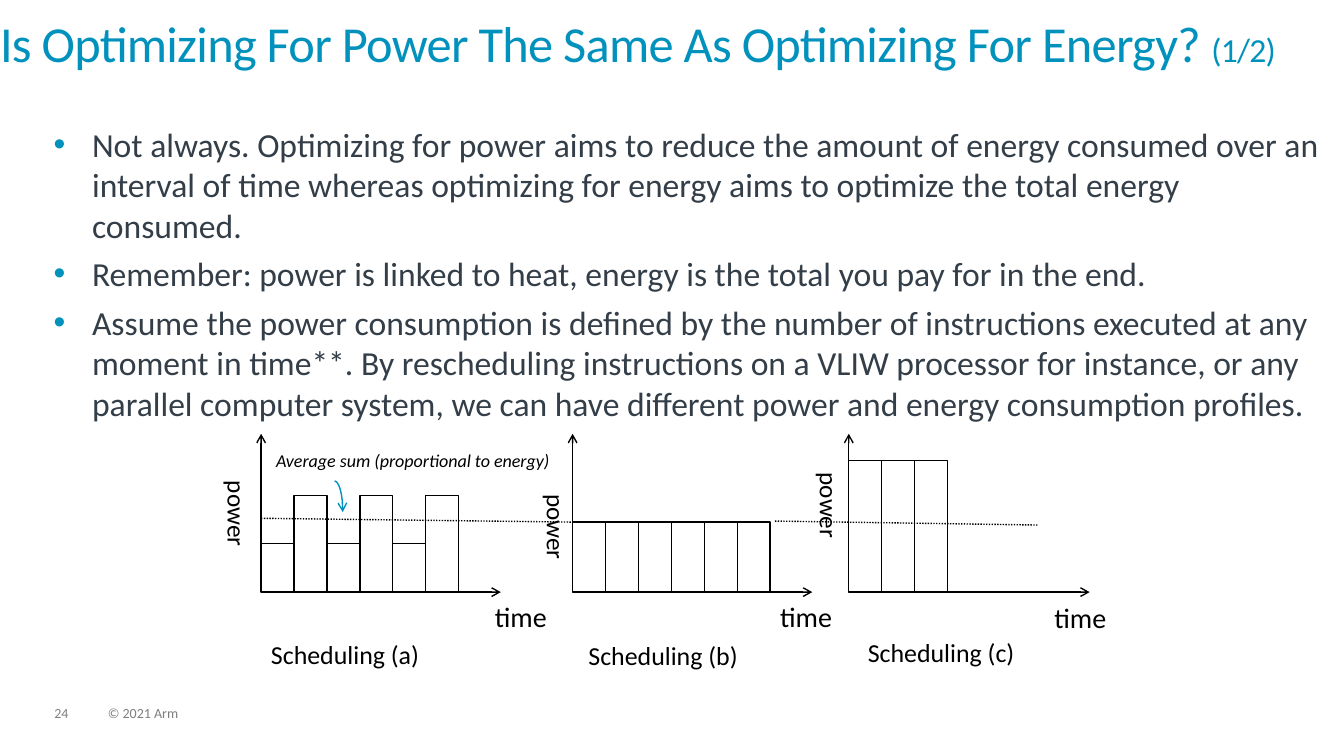
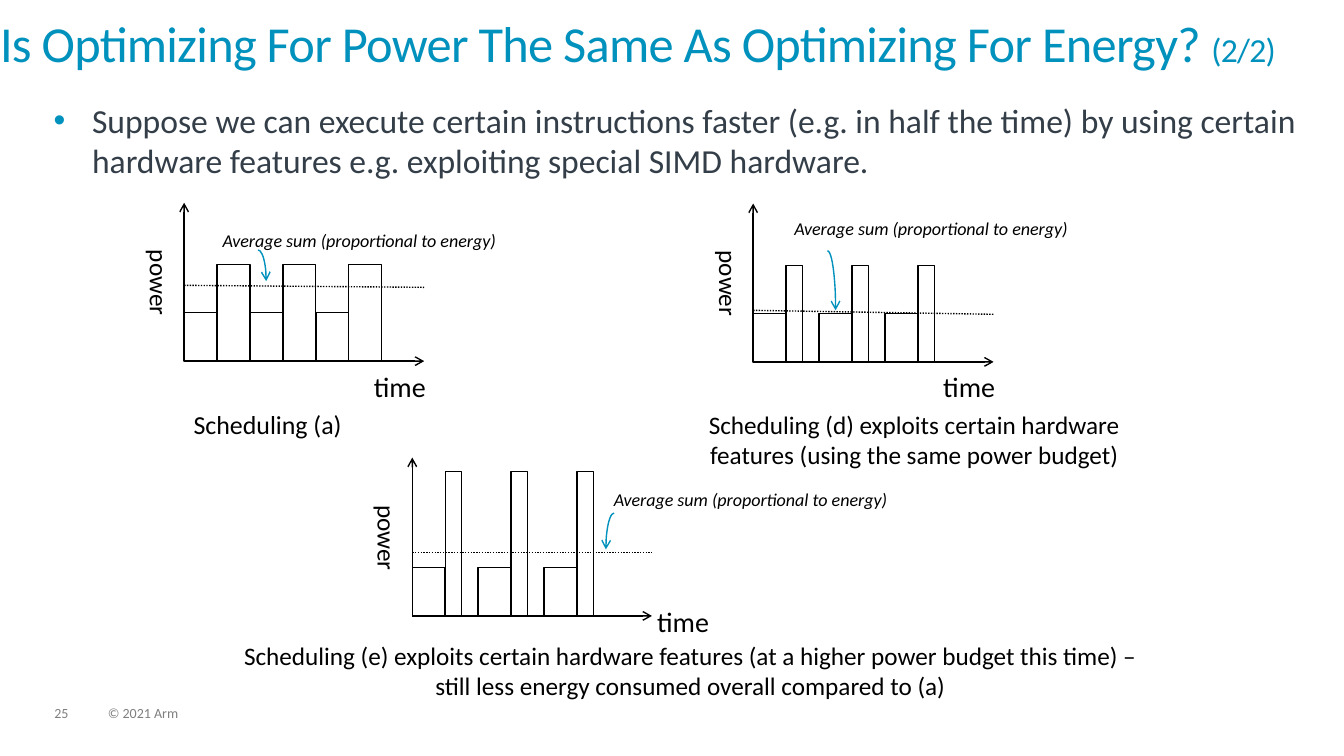
from lxml.etree import SubElement
from pptx import Presentation
from pptx.dml.color import RGBColor
from pptx.enum.dml import MSO_LINE
from pptx.enum.shapes import MSO_CONNECTOR, MSO_SHAPE
from pptx.enum.text import MSO_ANCHOR, MSO_AUTO_SIZE, PP_ALIGN
from pptx.oxml.ns import qn
from pptx.util import Cm, Pt

# Shared style
BLUE = RGBColor(0x00, 0x91, 0xBD)
SLATE = RGBColor(0x33, 0x3E, 0x48)
GRAY = RGBColor(0x7F, 0x7F, 0x7F)
BLACK = RGBColor(0, 0, 0)
WHITE = RGBColor(0xFF, 0xFF, 0xFF)
FRAME = {"margin_left": 0, "margin_top": 0, "margin_right": 0, "margin_bottom": 0,
         "word_wrap": True, "auto_size": MSO_AUTO_SIZE.NONE,
         "vertical_anchor": MSO_ANCHOR.TOP}
TITLE = "Is Optimizing For Power The Same As Optimizing For Energy? "
AVERAGE = "Average sum (proportional to energy)"
FIRST_NUMBER = 24

# Bars are (width in steps, height in cm); each bar starts one step after the last
STEP = 0.83
LOW, HIGH = 1.22, 2.43
AXIS_HEIGHT = 3.99
ALTERNATING = [(1, LOW), (1, HIGH)] * 3
FASTER = [(1, LOW), (0.5, HIGH)] * 3
FASTER_HIGHER = [(1, LOW), (0.5, 3.64)] * 3

# Positions are in cm; a caption is (text, left, top, width, size, alignment)
slides = [
    {"page": "(1/2)", "body_top": 3.12,
     "points": [
         "Not always. Optimizing for power aims to reduce the amount of energy consumed "
         "over an interval of time whereas optimizing for energy aims to optimize the "
         "total energy consumed.",
         "Remember: power is linked to heat, energy is the total you pay for in the end.",
         "Assume the power consumption is defined by the number of instructions executed "
         "at any moment in time**. By rescheduling instructions on a VLIW processor for "
         "instance, or any parallel computer system, we can have different power and "
         "energy consumption profiles."],
     "schedules": [
         {"origin": (6.58, 14.92), "bars": ALTERNATING, "end": 12.62,
          "average": (6.58, 13.06, 14.73, 13.16),
          "power": (5.54, 12.12), "time": (12.47, 15.11),
          "caption": ("Scheduling (a)", 6.83, 16.1, 3.9, 18.5, PP_ALIGN.LEFT),
          "note": (6.96, 11.33), "pointer": (8.23, 12.12, 1.57)},
         {"origin": (14.43, 14.92), "bars": [(1, 1.77)] * 6, "end": 20.47,
          "power": (13.59, 12.45), "time": (19.66, 15.11),
          "caption": ("Scheduling (b)", 14.83, 16.13, 3.9, 18.5, PP_ALIGN.LEFT)},
         {"origin": (21.39, 14.92), "bars": [(1, 3.31)] * 3, "end": 27.46,
          "average": (19.53, 13.13, 26.14, 13.23),
          "power": (20.47, 11.91), "time": (26.57, 15.14),
          "caption": ("Scheduling (c)", 21.87, 16.05, 3.9, 18.5, PP_ALIGN.LEFT)},
     ]},
    {"page": "(2/2)", "body_top": 2.51,
     "points": [
         "Suppose we can execute certain instructions faster (e.g. in half the time) by "
         "using certain hardware features e.g. exploiting special SIMD hardware."],
     "schedules": [
         {"origin": (4.64, 9.1), "bars": ALTERNATING, "end": 10.69,
          "average": (4.64, 7.19, 10.69, 7.24),
          "power": (3.58, 6.3), "time": (9.42, 9.3),
          "caption": ("Scheduling (a)", 4.88, 10.29, 3.9, 18.5, PP_ALIGN.LEFT),
          "note": (5.61, 5.79), "pointer": (6.3, 6.3, 1.57)},
         {"origin": (18.98, 9.12), "bars": FASTER, "end": 25.04,
          "average": (18.98, 7.82, 25.04, 7.92),
          "power": (17.93, 6.32), "time": (23.77, 9.32),
          "caption": ("Scheduling (d) exploits certain hardware features "
                      "(using the same power budget)",
                      16.74, 10.31, 12.6, 18, PP_ALIGN.CENTER),
          "note": (20.02, 5.49), "pointer": (20.65, 6.32, 3)},
         {"origin": (10.39, 15.52), "bars": FASTER_HIGHER, "end": 16.43,
          "average": (10.39, 13.92, 16.43, 13.92),
          "power": (9.32, 12.73), "time": (16.56, 15.24),
          "caption": ("Scheduling (e) exploits certain hardware features (at a higher "
                      "power budget this time) –\vstill less energy consumed overall "
                      "compared to (a)", 5.74, 16.13, 23.32, 18, PP_ALIGN.CENTER),
          "note": (15.47, 12.32), "pointer": (15.27, 12.93, 1.83), "mirrored": True},
     ]},
]


def style_runs(paragraph, color, size, italic=False):
    look = {"name": "Calibri", "size": Pt(size), "italic": italic}
    for run in paragraph.runs:
        for key, value in look.items():
            setattr(run.font, key, value)
        run.font.color.rgb = color


def add_label(slide, text, left, top, width, height, size, color=BLACK,
              italic=False, align=PP_ALIGN.LEFT):
    frame = slide.shapes.add_textbox(Cm(left), Cm(top), Cm(width), Cm(height)).text_frame
    for key, value in FRAME.items():
        setattr(frame, key, value)
    paragraph = frame.paragraphs[0]
    paragraph.text = text
    paragraph.alignment = align
    style_runs(paragraph, color, size, italic)
    return frame


prs = Presentation()
prs.slide_width, prs.slide_height = Cm(33.87), Cm(19.05)

for number, content in enumerate(slides, FIRST_NUMBER):
    slide = prs.slides.add_slide(prs.slide_layouts[1])
    title, body = slide.placeholders

    # Placeholder places and frames
    for holder, place in ((title, (0, 0.53, 33.87, 2)),
                          (body, (1.35, content["body_top"], 32.2, 8))):
        holder.left, holder.top, holder.width, holder.height = map(Cm, place)
        for key, value in FRAME.items():
            setattr(holder.text_frame, key, value)

    # Title with a smaller page count
    heading = title.text_frame.paragraphs[0]
    heading.alignment = PP_ALIGN.LEFT
    heading.line_spacing = 0.85
    heading.text = TITLE
    heading.add_run().text = content["page"]
    style_runs(heading, BLUE, 36)
    heading.runs[1].font.size = Pt(24)
    for run in heading.runs:
        run.font._element.set("spc", "-50")

    # Bulleted points
    for index, text in enumerate(content["points"]):
        point = body.text_frame.add_paragraph() if index else body.text_frame.paragraphs[0]
        point.text = text
        point.space_before = Pt(6 if index else 0)
        properties = point._p.get_or_add_pPr()
        properties.set("marL", str(Cm(0.97)))
        properties.set("indent", str(-Cm(0.97)))
        bullet_color = SubElement(properties, qn("a:buClr"))
        SubElement(bullet_color, qn("a:srgbClr"), val=str(BLUE))
        SubElement(properties, qn("a:buFont"), typeface="Arial")
        SubElement(properties, qn("a:buChar"), char="•")
        style_runs(point, SLATE, 24)

    # Footer
    for text, left, width in ((str(number), 1.37, 0.86), ("© 2021 Arm", 2.72, 12.88)):
        footer = add_label(slide, text, left, 17.81, width, 0.38, 10, GRAY)
        footer.paragraphs[0].line_spacing = 0.9

    for schedule in content["schedules"]:
        # Instruction bars
        left, base = schedule["origin"]
        for index, (width, height) in enumerate(schedule["bars"]):
            bar = slide.shapes.add_shape(
                MSO_SHAPE.RECTANGLE, Cm(left + index * STEP), Cm(base - height),
                Cm(width * STEP), Cm(height))
            bar.shadow.inherit = False
            bar.fill.solid()
            bar.fill.fore_color.rgb = WHITE
            bar.line.color.rgb = BLACK
            bar.line.width = Pt(1)

        # Axes and dotted average
        lines = [(left, base, schedule["end"], base),
                 (left, base, left, base - AXIS_HEIGHT)]
        if "average" in schedule:
            lines.append(schedule["average"])
        for ends in lines:
            rule = slide.shapes.add_connector(MSO_CONNECTOR.STRAIGHT, *map(Cm, ends))
            rule.line.color.rgb = BLACK
            rule.line.width = Pt(1)
            drawing = rule._element.spPr
            if ends == schedule.get("average"):
                rule.line.dash_style = MSO_LINE.ROUND_DOT
            else:
                SubElement(drawing.find(qn("a:ln")), qn("a:tailEnd"), type="arrow")
            SubElement(drawing, qn("a:effectLst"))

        # Axis names and caption
        power = add_label(slide, "power", *schedule["power"], 0.83, 2, 18)
        power._txBody.bodyPr.set("vert", "vert")
        add_label(slide, "time", *schedule["time"], 1.75, 1, 20)
        text, left, top, width, size, align = schedule["caption"]
        add_label(slide, text, left, top, width, 1, size, align=align)

        # Note with its curved pointer
        if "note" in schedule:
            add_label(slide, AVERAGE, *schedule["note"], 7.16, 0.69, 12.9, italic=True)
            left, top, height = schedule["pointer"]
            pointer = slide.shapes.add_shape(
                MSO_SHAPE.ARC, Cm(left), Cm(top), Cm(0.41), Cm(height))
            pointer.shadow.inherit = False
            pointer.fill.background()
            pointer.line.color.rgb = BLUE
            pointer.line.width = Pt(1)
            drawing = pointer._element.spPr
            SubElement(drawing.find(qn("a:ln")), qn("a:tailEnd"), type="arrow")
            if schedule.get("mirrored"):
                drawing.find(qn("a:xfrm")).set("flipH", "1")

prs.save("out.pptx")
